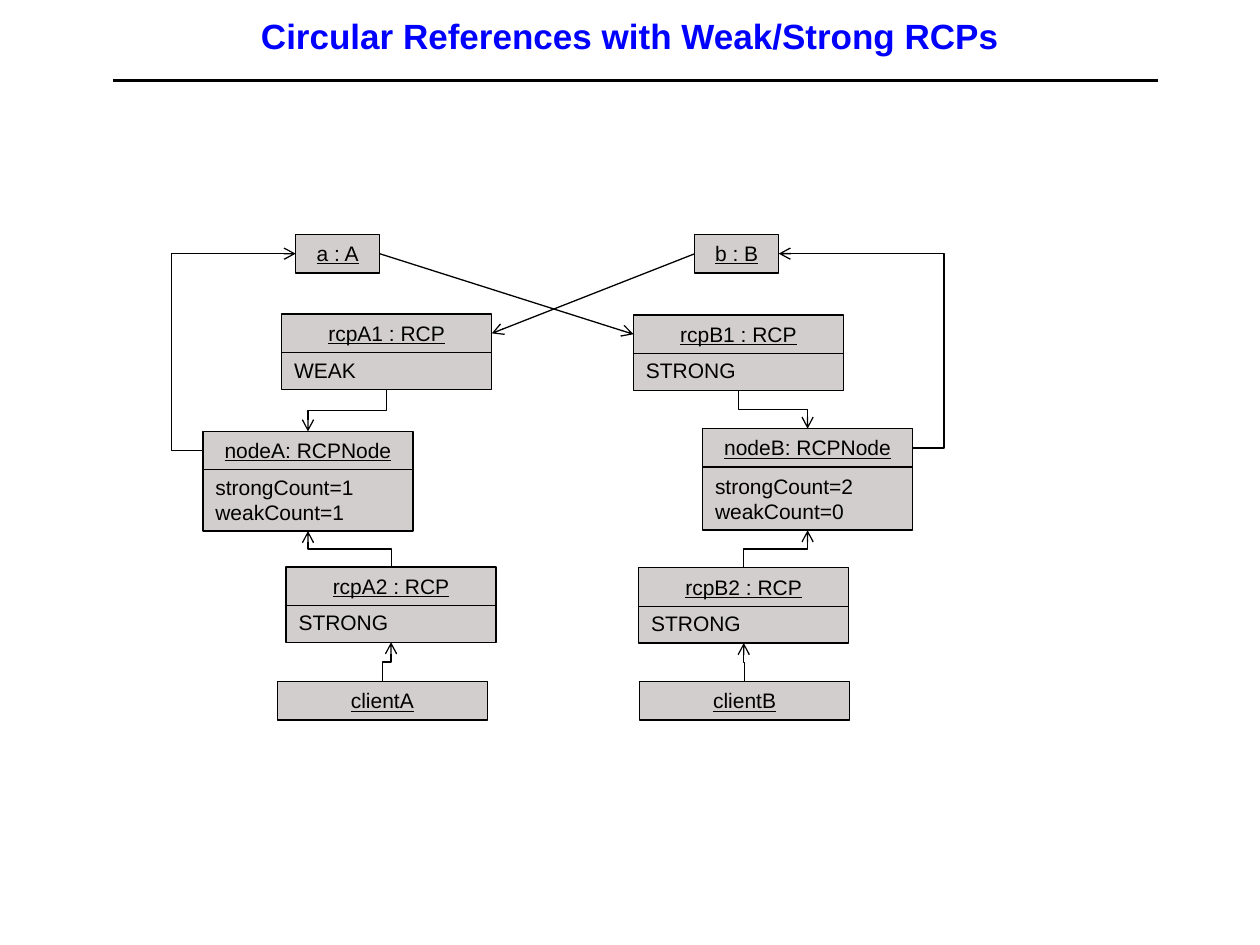
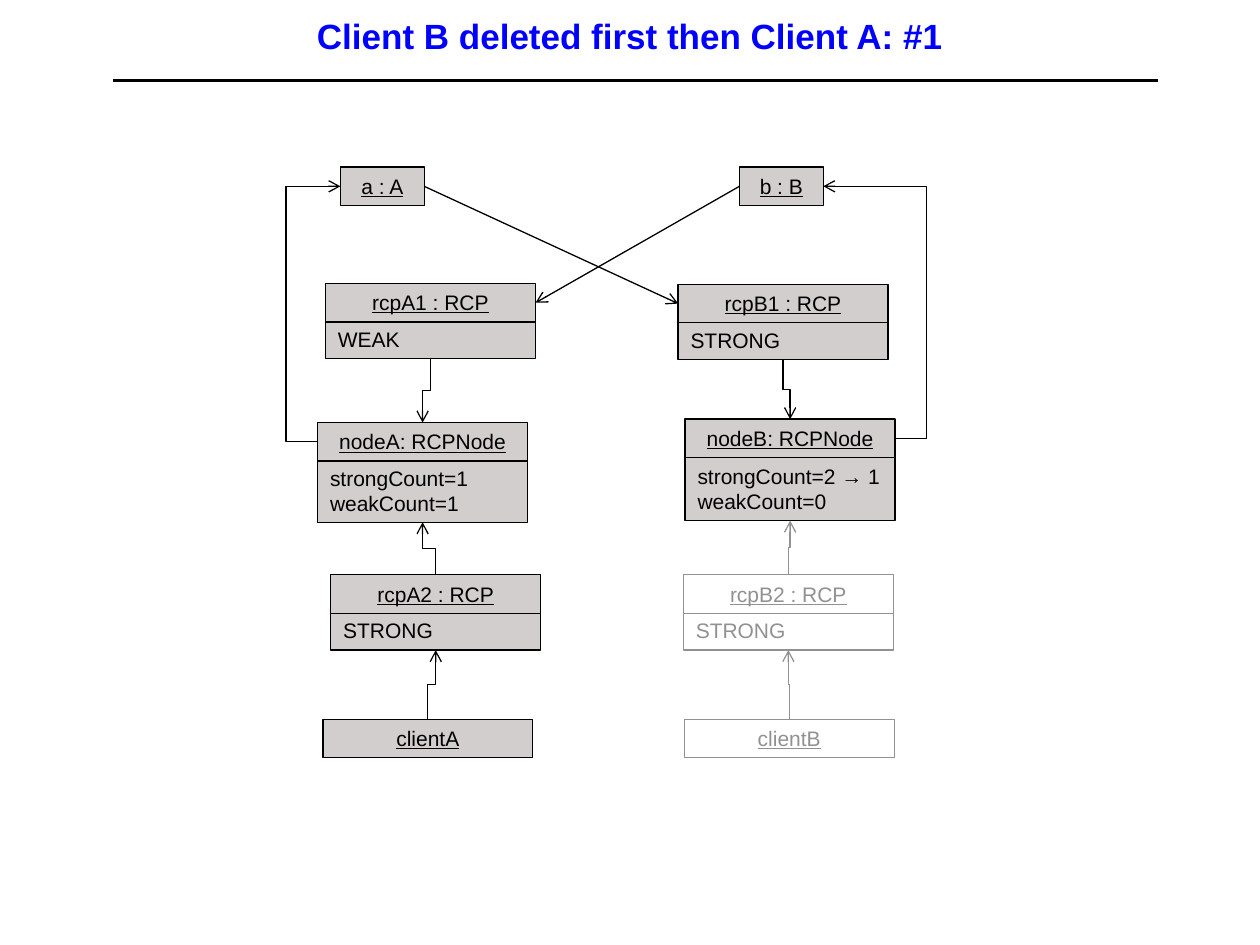
from dataclasses import dataclass, field

import pptx
import pptx.dml.color
import pptx.enum.shapes
import pptx.enum.text
import pptx.oxml
import pptx.oxml.ns
import pptx.util
from pptx.util import Pt

RGB = pptx.dml.color.RGBColor
ALIGN = pptx.enum.text.PP_ALIGN
CONNECTOR = pptx.enum.shapes.MSO_CONNECTOR
Point = tuple[float, float]


@dataclass(frozen=True)
class Ink:
    """Colours of one object and of the links that leave it."""
    fill: RGB
    stroke: RGB


@dataclass(frozen=True)
class Theme:
    font: str = "Arial"
    title_size: float = 20
    label_size: float = 12
    title: RGB = RGB(0x00, 0x00, 0xFF)
    live: Ink = Ink(RGB(0xD1, 0xCE, 0xCD), RGB(0x00, 0x00, 0x00))
    deleted: Ink = Ink(RGB(0xFF, 0xFF, 0xFF), RGB(0x91, 0x91, 0x91))
    outline: float = 0.75
    rule: float = 2


THEME = Theme()
HEAD_HEIGHT = 22
LOOP_OFFSET = 18


@dataclass(frozen=True)
class UmlObject:
    heading: str
    state: tuple[str, ...] = ()
    width: float = 120
    state_drop: float = 21

    @property
    def state_height(self) -> float:
        return 8 + 14 * len(self.state)

    @property
    def height(self) -> float:
        return self.state_drop + self.state_height if self.state else HEAD_HEIGHT


OBJECTS = {
    "a": UmlObject("a : A", width=48),
    "b": UmlObject("b : B", width=48),
    "rcpA1": UmlObject("rcpA1 : RCP", ("WEAK",)),
    "rcpB1": UmlObject("rcpB1 : RCP", ("STRONG",)),
    "nodeA": UmlObject("nodeA: RCPNode", ("strongCount=1", "weakCount=1")),
    "nodeB": UmlObject("nodeB: RCPNode", ("strongCount=2", "weakCount=0"), state_drop=22),
    "rcpA2": UmlObject("rcpA2 : RCP", ("STRONG",)),
    "rcpB2": UmlObject("rcpB2 : RCP", ("STRONG",)),
    "clientA": UmlObject("clientA"),
    "clientB": UmlObject("clientB"),
}


@dataclass(frozen=True)
class Scene:
    title: str
    corners: dict[str, Point]
    deleted: tuple[str, ...] = ()
    new_state: dict[str, tuple[str, ...]] = field(default_factory=dict)

    def ink(self, key: str) -> Ink:
        return THEME.deleted if key in self.deleted else THEME.live

    def top(self, key: str) -> Point:
        left, top = self.corners[key]
        return left + OBJECTS[key].width / 2, top

    def bottom(self, key: str) -> Point:
        x, top = self.top(key)
        return x, top + OBJECTS[key].height

    def left(self, key: str) -> Point:
        left, top = self.corners[key]
        return left, top + HEAD_HEIGHT / 2

    def right(self, key: str) -> Point:
        x, y = self.left(key)
        return x + OBJECTS[key].width, y


SCENES = [
    Scene(
        "Circular References with Weak/Strong RCPs",
        {
            "a": (169, 134), "b": (397, 134),
            "rcpA1": (161, 179.5), "rcpB1": (362, 180),
            "nodeA": (116, 246.5), "nodeB": (401.5, 245),
            "rcpA2": (163.5, 324), "rcpB2": (365, 324.5),
            "clientA": (158.5, 389.5), "clientB": (365.5, 389.5),
        },
    ),
    Scene(
        "Client B deleted first then Client A: #1",
        {
            "a": (194.5, 95.5), "b": (422.5, 95.5),
            "rcpA1": (186, 162), "rcpB1": (387.5, 162.5),
            "nodeA": (181.5, 241.5), "nodeB": (391.5, 239.5),
            "rcpA2": (189, 328.5), "rcpB2": (390.5, 328.5),
            "clientA": (184.5, 411), "clientB": (391, 411),
        },
        deleted=("rcpB2", "clientB"),
        new_state={"nodeB": ("strongCount=2 → 1", "weakCount=0")},
    ),
]


def style_text(paragraph, size: float, color: RGB, align) -> None:
    paragraph.alignment = align
    paragraph.font.name = THEME.font
    paragraph.font.size = Pt(size)
    paragraph.font.color.rgb = color


def add_compartment(slide, corner: Point, width: float, height: float,
                    lines: tuple[str, ...], ink: Ink, heading: bool) -> None:
    box = slide.shapes.add_shape(
        pptx.enum.shapes.MSO_SHAPE.RECTANGLE,
        Pt(corner[0]), Pt(corner[1]), Pt(width), Pt(height))
    box.shadow.inherit = False
    box.fill.solid()
    box.fill.fore_color.rgb = ink.fill
    box.line.color.rgb = ink.stroke
    box.line.width = Pt(THEME.outline)
    frame = box.text_frame
    frame.word_wrap = True
    frame.vertical_anchor = pptx.enum.text.MSO_ANCHOR.TOP
    frame.text = "\n".join(lines)
    for paragraph in frame.paragraphs:
        style_text(paragraph, THEME.label_size, ink.stroke,
                   ALIGN.CENTER if heading else ALIGN.LEFT)
        paragraph.font.underline = heading


def add_object(slide, scene: Scene, key: str) -> None:
    thing, ink = OBJECTS[key], scene.ink(key)
    left, top = scene.corners[key]
    state = scene.new_state.get(key, thing.state)
    if state:
        add_compartment(slide, (left, top + thing.state_drop), thing.width,
                        thing.state_height, state, ink, heading=False)
    add_compartment(slide, (left, top), thing.width, HEAD_HEIGHT,
                    (thing.heading,), ink, heading=True)


def add_line(slide, kind, start: Point, end: Point, color: RGB, weight: float):
    line = slide.shapes.add_connector(kind, *(Pt(v) for v in (*start, *end)))
    line.line.color.rgb = color
    line.line.width = Pt(weight)
    pptx.oxml.ns.qn("a:effectLst")
    line._element.spPr.append(pptx.oxml.parse_xml(
        f'<a:effectLst {pptx.oxml.ns.nsdecls("a")}/>'))
    return line


def add_arrow(slide, kind, start: Point, end: Point, ink: Ink):
    arrow = add_line(slide, kind, start, end, ink.stroke, THEME.outline)
    arrow.line._get_or_add_ln().append(pptx.oxml.parse_xml(
        f'<a:tailEnd {pptx.oxml.ns.nsdecls("a")} type="arrow"/>'))
    return arrow


def add_step(slide, start: Point, end: Point, ink: Ink) -> None:
    """Elbow arrow that leaves and arrives vertically: a turned horizontal elbow."""
    dx, dy = end[0] - start[0], end[1] - start[1]
    mid_x, mid_y = (start[0] + end[0]) / 2, (start[1] + end[1]) / 2
    half_run = abs(dy) / 2
    half_rise = abs(dx) / 2 * (-1 if dx * dy > 0 else 1)
    arrow = add_arrow(slide, CONNECTOR.ELBOW,
                      (mid_x - half_run, mid_y - half_rise),
                      (mid_x + half_run, mid_y + half_rise), ink)
    quarter_turns = 1 if dy > 0 else 3
    arrow._element.spPr.find(pptx.oxml.ns.qn("a:xfrm")).set(
        "rot", str(quarter_turns * 90 * 60000))


def add_loop(slide, start: Point, end: Point, offset: float, ink: Ink) -> None:
    """Elbow arrow whose bend lies sideways of its start by the offset."""
    arrow = add_arrow(slide, CONNECTOR.ELBOW, start, end, ink)
    bend = round(offset / (end[0] - start[0]) * 100000)
    geometry = arrow._element.spPr.find(pptx.oxml.ns.qn("a:prstGeom"))
    for adjustments in list(geometry):
        geometry.remove(adjustments)
    geometry.append(pptx.oxml.parse_xml(
        f'<a:avLst {pptx.oxml.ns.nsdecls("a")}>'
        f'<a:gd name="adj1" fmla="val {bend}"/></a:avLst>'))


def add_links(slide, scene: Scene) -> None:
    for side in "AB":
        rcp1, node, rcp2, client = f"rcp{side}1", f"node{side}", f"rcp{side}2", f"client{side}"
        add_step(slide, scene.bottom(rcp1), scene.top(node), scene.ink(rcp1))
        add_step(slide, scene.top(rcp2), scene.bottom(node), scene.ink(rcp2))
        add_step(slide, scene.top(client), scene.bottom(rcp2), scene.ink(client))
    add_loop(slide, scene.left("nodeA"), scene.left("a"), -LOOP_OFFSET, scene.ink("nodeA"))
    add_loop(slide, scene.right("nodeB"), scene.right("b"), LOOP_OFFSET, scene.ink("nodeB"))
    add_arrow(slide, CONNECTOR.STRAIGHT, scene.left("b"), scene.right("rcpA1"), scene.ink("b"))
    add_arrow(slide, CONNECTOR.STRAIGHT, scene.right("a"), scene.left("rcpB1"), scene.ink("a"))


def prepare_layout(layout) -> None:
    title = layout.placeholders[0]
    title.left, title.top, title.width, title.height = Pt(54), Pt(0), Pt(612), Pt(40)


def add_shared_rule(slide) -> None:
    """Put the rule under the title on the slide's layout, so every slide shows it."""
    rule = add_line(slide, CONNECTOR.STRAIGHT, (64.5, 46), (662, 46),
                    THEME.live.stroke, THEME.rule)
    slide.slide_layout.shapes._spTree.append(rule._element)


def add_scene(deck, layout, scene: Scene):
    slide = deck.slides.add_slide(layout)
    title = slide.shapes.title
    title.text_frame.text = scene.title
    title.text_frame.vertical_anchor = pptx.enum.text.MSO_ANCHOR.MIDDLE
    heading = title.text_frame.paragraphs[0]
    style_text(heading, THEME.title_size, THEME.title, ALIGN.CENTER)
    heading.font.bold = True
    for key in OBJECTS:
        add_object(slide, scene, key)
    add_links(slide, scene)
    return slide


def main() -> None:
    deck = pptx.Presentation()
    deck.slide_width, deck.slide_height = Pt(720), Pt(540)
    layout = deck.slide_layouts[5]
    prepare_layout(layout)
    slides = [add_scene(deck, layout, scene) for scene in SCENES]
    add_shared_rule(slides[0])
    deck.save("out.pptx")


if __name__ == "__main__":
    main()
